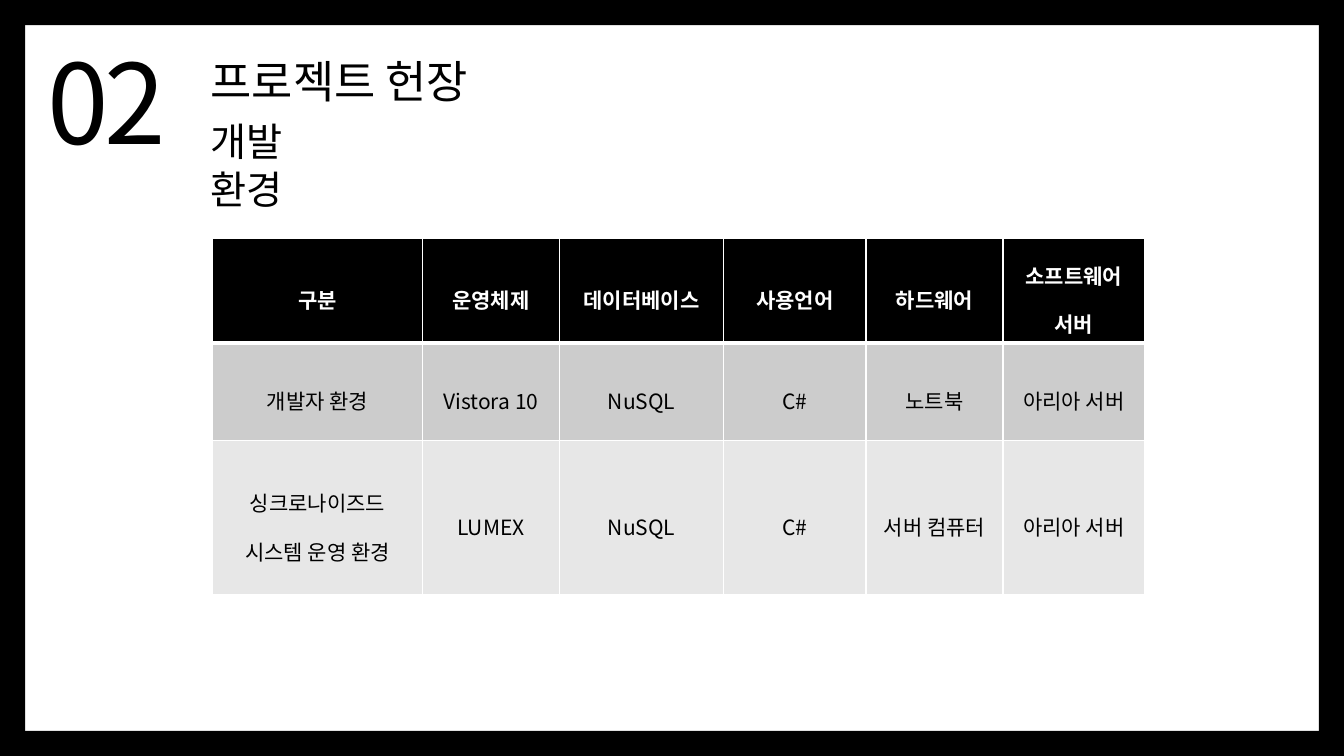
from pptx import Presentation
from pptx.dml.color import RGBColor
from pptx.enum.shapes import MSO_SHAPE
from pptx.enum.text import MSO_ANCHOR, PP_ALIGN
from pptx.oxml import parse_xml
from pptx.oxml.ns import nsdecls
from pptx.util import Inches, Pt

BLACK = RGBColor(0, 0, 0)
WHITE = RGBColor(255, 255, 255)
GRAY = RGBColor(0xCC, 0xCC, 0xCC)
PALE = RGBColor(0xE7, 0xE7, 0xE7)
FONT = "Noto Sans CJK KR"
WIDE, HIGH = Inches(13.33), Inches(7.5)
COL, ROW = WIDE / 100, HIGH / 100
ROWS = [
    ["구분", "운영체제", "데이터베이스", "사용언어", "하드웨어", "소프트웨어 서버"],
    ["개발자 환경", "Vistora 10", "NuSQL", "C#", "노트북", "아리아 서버"],
    ["싱크로나이즈드\n시스템 운영 환경", "LUMEX", "NuSQL", "C#", "서버 컴퓨터", "아리아 서버"],
]


def scale(box):
    """Turn a box in grid columns and rows into slide lengths."""
    left, top, width, height = box
    return [int(n) for n in (left * COL, top * ROW, width * COL, height * ROW)]


def style(frame, size, color, bold=False):
    """Format every run of a text frame."""
    for para in frame.paragraphs:
        for run in para.runs:
            font = run.font
            font.size, font.bold, font.name = Pt(size), bold, FONT
            font.color.rgb = color
            props = run._r.get_or_add_rPr()
            props.append(parse_xml(f'<a:ea {nsdecls("a")} typeface="{FONT}"/>'))


def write(slide, box, text, size):
    """Add a line of black text and return its frame."""
    frame = slide.shapes.add_textbox(*scale(box)).text_frame
    frame.word_wrap = True
    frame.text = text
    style(frame, size, BLACK)
    return frame


def border(slide, box):
    """Draw the black bars along the edges of the box."""
    left, top, width, height = box
    side, edge = 1.88, 3.33
    for bar in (
        (left, top, side, height),
        (left + width - side, top, side, height),
        (left, top, width, edge),
        (left, top + height - edge, width, edge),
    ):
        shape = slide.shapes.add_shape(MSO_SHAPE.RECTANGLE, *scale(bar))
        shape.shadow.inherit = False
        shape.fill.solid()
        shape.fill.fore_color.rgb = BLACK
        shape.line.fill.background()


def heading(slide, box):
    """Place the section number, title and subtitle in the box."""
    left, top, width, height = box
    indent = left + 12.15
    number = write(slide, (left, top, 13.05, height), "02", 79)
    number.vertical_anchor = MSO_ANCHOR.MIDDLE
    number.paragraphs[0].runs[0].font._element.set("spc", "-300")
    write(slide, (indent, top + 2.8, width - 12.15, 8.53), "프로젝트 헌장", 32)
    topic = write(slide, (indent, top + 11.33, 12.98, 7.6), "개발 환경", 28)
    topic.margin_right = Inches(0.2)


def rule(cell, head):
    """Give a cell white borders, thicker below the header."""
    props = cell._tc.get_or_add_tcPr()
    for spot, side in enumerate("LRTB"):
        thick = 3 if head and side == "B" else 1
        line = parse_xml(
            f'<a:ln{side} {nsdecls("a")} w="{Pt(thick)}"><a:solidFill>'
            f'<a:srgbClr val="{WHITE}"/></a:solidFill></a:ln{side}>'
        )
        props.insert(spot, line)


def grid(slide, box):
    """Fill the box with the table of environments."""
    spot = scale(box)
    table = slide.shapes.add_table(len(ROWS), len(ROWS[0]), *spot).table
    for parts, shares, attr, total in (
        (table.columns, (2.08, 1.36, 1.63, 1.41, 1.36, 1.41), "width", spot[2]),
        (table.rows, (1.04, 0.97, 1.53), "height", spot[3]),
    ):
        for part, share in zip(parts, shares):
            setattr(part, attr, int(total * share / sum(shares)))
    for r, (texts, fill) in enumerate(zip(ROWS, (BLACK, GRAY, PALE))):
        head = r == 0
        for c, text in enumerate(texts):
            cell = table.cell(r, c)
            cell.text_frame.text = text
            cell.vertical_anchor = MSO_ANCHOR.MIDDLE
            cell.margin_left = cell.margin_right = Inches(0.07)
            cell.margin_top = cell.margin_bottom = Inches(0.02)
            cell.fill.solid()
            cell.fill.fore_color.rgb = fill
            style(cell.text_frame, 15, WHITE if head else BLACK, head)
            for para in cell.text_frame.paragraphs:
                para.alignment, para.line_spacing = PP_ALIGN.CENTER, 1.6
            rule(cell, head)


def build():
    """Build the slide and save it."""
    deck = Presentation()
    deck.slide_width, deck.slide_height = WIDE, HIGH
    slide = deck.slides.add_slide(deck.slide_layouts[6])
    border(slide, (0, 0, 100, 100))
    heading(slide, (2.78, 3.6, 40.13, 19.33))
    grid(slide, (15.83, 31.47, 69.38, 47.2))
    deck.save("out.pptx")


build()
